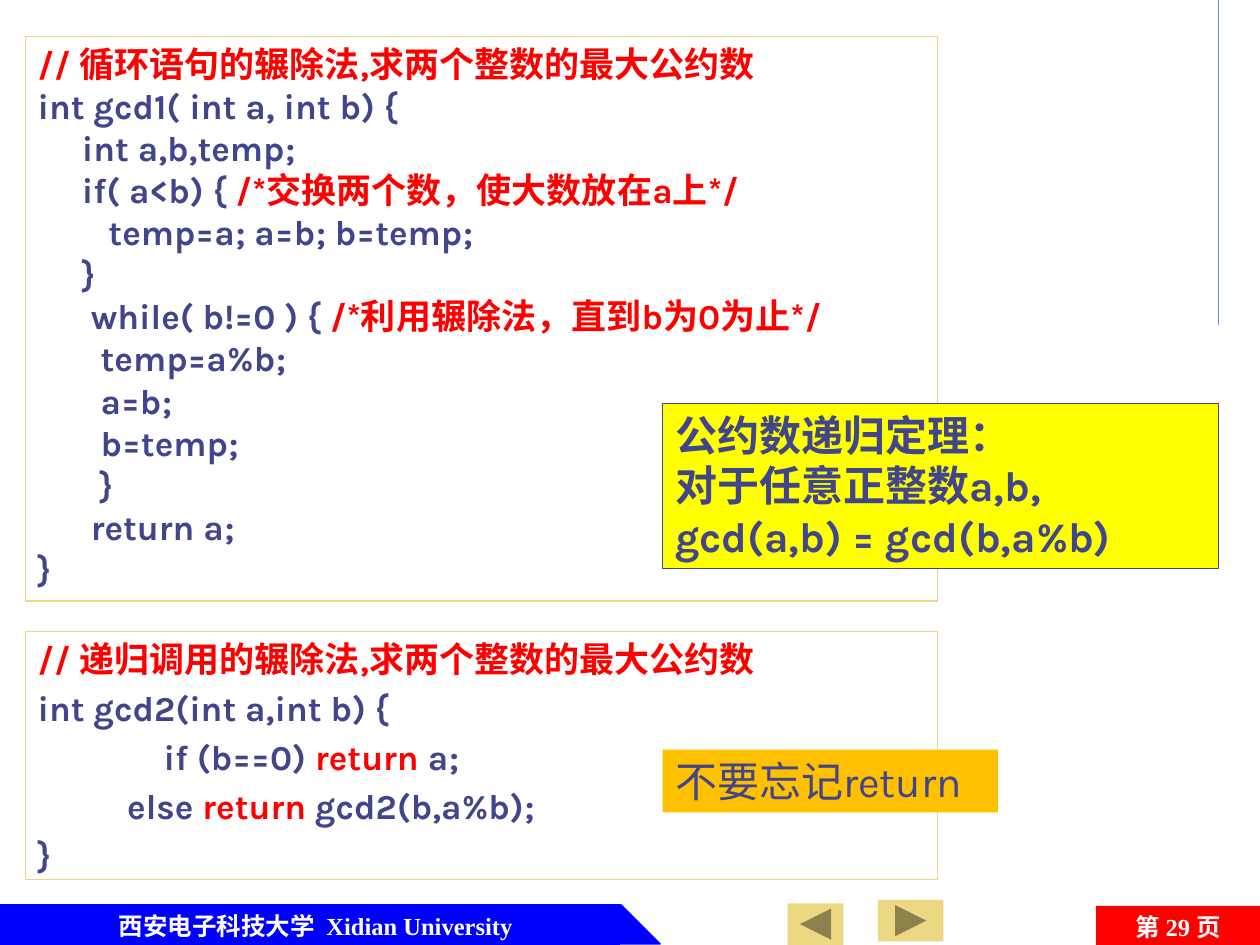
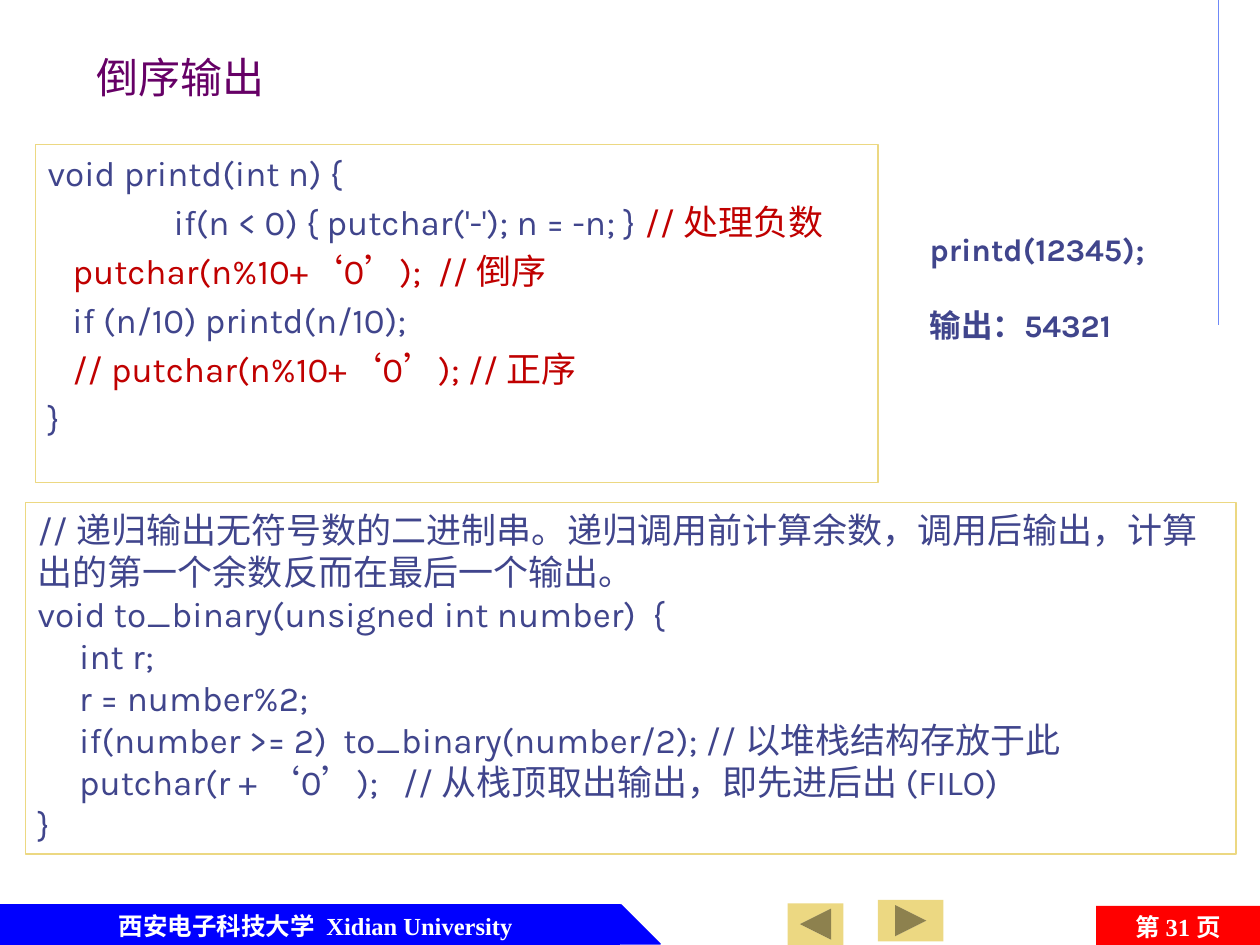
from lxml import etree
from pptx import Presentation, util as u
from pptx.dml.color import RGBColor
from pptx.enum import shapes, text
from pptx.oxml.ns import qn

# Shared look
INK, RED, DARK_RED, SAND = "40458C", "FF0000", "C00000", "ECD882"
BLUE, WHITE, PURPLE = "0000FF", "FFFFFF", "660066"
LATIN, CJK, SERIF = "Karla", "Noto Sans CJK SC", "Times New Roman"

# Content: a line is a string, or a list of strings and (string, colour) pairs
GCD_LOOP = [
    [("// 循环语句的辗除法,求两个整数的最大公约数", RED)],
    "int gcd1( int a, int b) {",
    "     int a,b,temp;",
    ["     if( a<b) { ", ("/*交换两个数，使大数放在a上*/", RED)],
    "        temp=a; a=b; b=temp;",
    "     }",
    ["      while( b!=0 ) { ", ("/*利用辗除法，直到b为0为止*/", RED)],
    "\ttemp=a%b;",
    "\ta=b;",
    "\tb=temp;",
    "       }",
    "      return a;",
    "}",
]
GCD_RECURSIVE = [
    [("// 递归调用的辗除法,求两个整数的最大公约数", RED)],
    "int gcd2(int a,int b) {",
    ["\t   \tif (b==0) ", ("return ", RED), "a;"],
    ["\t   else ", ("return ", RED), "gcd2(b,a%b);"],
    "}",
]
THEOREM = ["公约数递归定理：", "对于任意正整数a,b,", "gcd(a,b) = gcd(b,a%b)"]
PRINT_DIGITS = [
    "void printd(int n) {",
    ["    \t\tif(n < 0) { putchar('-'); n = -n; } ", ("// 处理负数", DARK_RED)],
    ["   ", ("putchar(n%10+‘0’);  // 倒序", DARK_RED)],
    "   if (n/10) printd(n/10);",
    ["   ", ("// putchar(n%10+‘0’); // 正序", DARK_RED)],
    "}",
]
TO_BINARY = [
    "// 递归输出无符号数的二进制串。递归调用前计算余数，调用后输出，"
    "计算出的第一个余数反而在最后一个输出。",
    "void to_binary(unsigned int number)  {",
    "     int r;",
    "     r = number%2;",
    "     if(number >= 2)  to_binary(number/2); // 以堆栈结构存放于此",
    "     putchar(r + ‘0’);   // 从栈顶取出输出，即先进后出 (FILO)",
    "}",
]

# Each box: lines, (left, top, width, height) in cm, format
SLIDES = [
    dict(page=29, boxes=[
        (GCD_RECURSIVE, (0.51, 12.73, 18.39, 5),
         dict(bold=True, gap=4, fill=WHITE, line=SAND)),
        (GCD_LOOP, (0.51, 0.74, 18.39, 11.38),
         dict(bold=True, fill=WHITE, line=SAND)),
        (THEOREM, (13.36, 8.13, 11.2, 3.33),
         dict(size=24, bold=True, fill="FFFF00", line=INK)),
        (["不要忘记return"], (13.36, 15.11, 6.76, 1.27),
         dict(size=24, fill="FFC000")),
    ]),
    dict(page=31, title="倒序输出", boxes=[
        (PRINT_DIGITS, (0.71, 2.92, 16.99, 6.81), dict(gap=4, line=SAND)),
        (["printd(12345);", "输出：54321"], (18.49, 4.52, 5.74, 2.57),
         dict(size=18, bold=True, gap=21.4)),
        (TO_BINARY, (0.51, 10.13, 24.41, 7.09), dict(line=SAND)),
    ]),
]


def rgb(value):
    return RGBColor.from_string(value)


def cm(values):
    return [u.Cm(v) for v in values]


def paint(sp, fill=None, line=None):
    if fill:
        sp.fill.solid()
        sp.fill.fore_color.rgb = rgb(fill)
    else:
        sp.fill.background()
    if line:
        sp.line.color.rgb = rgb(line)
        sp.line.width = u.Pt(0.75)
    else:
        sp.line.fill.background()


def write(tf, lines, size=20, color=INK, bold=False, font=LATIN, gap=0,
          align=text.PP_ALIGN.LEFT, anchor=text.MSO_ANCHOR.TOP):
    tf.word_wrap = True
    tf.auto_size = text.MSO_AUTO_SIZE.NONE
    tf.vertical_anchor = anchor
    for i, line in enumerate(lines):
        p = tf.paragraphs[0] if i == 0 else tf.add_paragraph()
        p.alignment = align
        p.space_before = u.Pt(gap if i else 0)
        for part in [line] if isinstance(line, str) else line:
            words, tint = (part, color) if isinstance(part, str) else part
            r = p.add_run()
            r.text = words
            r.font.name, r.font.size, r.font.bold = font, u.Pt(size), bold
            r.font.color.rgb = rgb(tint)
            ea = etree.SubElement(r._r.get_or_add_rPr(), qn("a:ea"))
            ea.set("typeface", CJK)


def add_text(s, lines, at, fill=None, line=None, **fmt):
    sp = s.shapes.add_textbox(*cm(at))
    paint(sp, fill, line)
    write(sp.text_frame, lines, **fmt)


def add_shape(s, kind, at, fill, line=None, rotation=0):
    sp = s.shapes.add_shape(kind, *cm(at))
    sp.shadow.inherit = False
    sp.rotation = rotation
    paint(sp, fill, line)


def add_frame(s, page):
    kind = shapes.MSO_SHAPE
    # Rule at the upper right
    rule = s.shapes.add_connector(shapes.MSO_CONNECTOR.STRAIGHT,
                                  *cm((24.56, 0, 24.56, 6.55)))
    rule.line.color.rgb = rgb("6F89F7")
    rule.line.width = u.Pt(0.75)
    etree.SubElement(rule._element.spPr, qn("a:effectLst"))
    # School band and page number
    footer = dict(size=14, color=WHITE, bold=True, font=SERIF,
                  align=text.PP_ALIGN.CENTER)
    add_shape(s, kind.RECTANGLE, (0, 18.24, 12.5, 0.79), BLUE, BLUE)
    add_shape(s, kind.RIGHT_TRIANGLE, (12.52, 18.24, 0.79, 0.79), BLUE, BLUE)
    add_text(s, ["西安电子科技大学  Xidian University"],
             (0.74, 18.24, 11.25, 0.79), **footer)
    add_text(s, [f"第 {page} 页"], (22.1, 18.26, 3.3, 0.84), fill=RED, **footer)
    # Next and back buttons
    button = kind.ACTION_BUTTON_FORWARD_OR_NEXT
    add_shape(s, button, (17.7, 18.14, 1.32, 0.84), SAND)
    add_shape(s, button, (15.88, 18.21, 1.12, 0.84), SAND, rotation=180)


def add_title(s, title):
    sp = s.shapes.title
    sp.left, sp.top, sp.width, sp.height = cm((1.7, -0.05, 21.59, 3.18))
    write(sp.text_frame, [title], size=24, color=PURPLE,
          anchor=text.MSO_ANCHOR.MIDDLE)


def main():
    prs = Presentation()
    prs.slide_width, prs.slide_height = cm((25.4, 19.05))
    for content in SLIDES:
        title = content.get("title")
        # Layout 5 is title only, 6 is blank
        s = prs.slides.add_slide(prs.slide_layouts[5 if title else 6])
        add_frame(s, content["page"])
        if title:
            add_title(s, title)
        for lines, at, fmt in content["boxes"]:
            add_text(s, lines, at, **fmt)
    prs.save("out.pptx")


if __name__ == "__main__":
    main()
